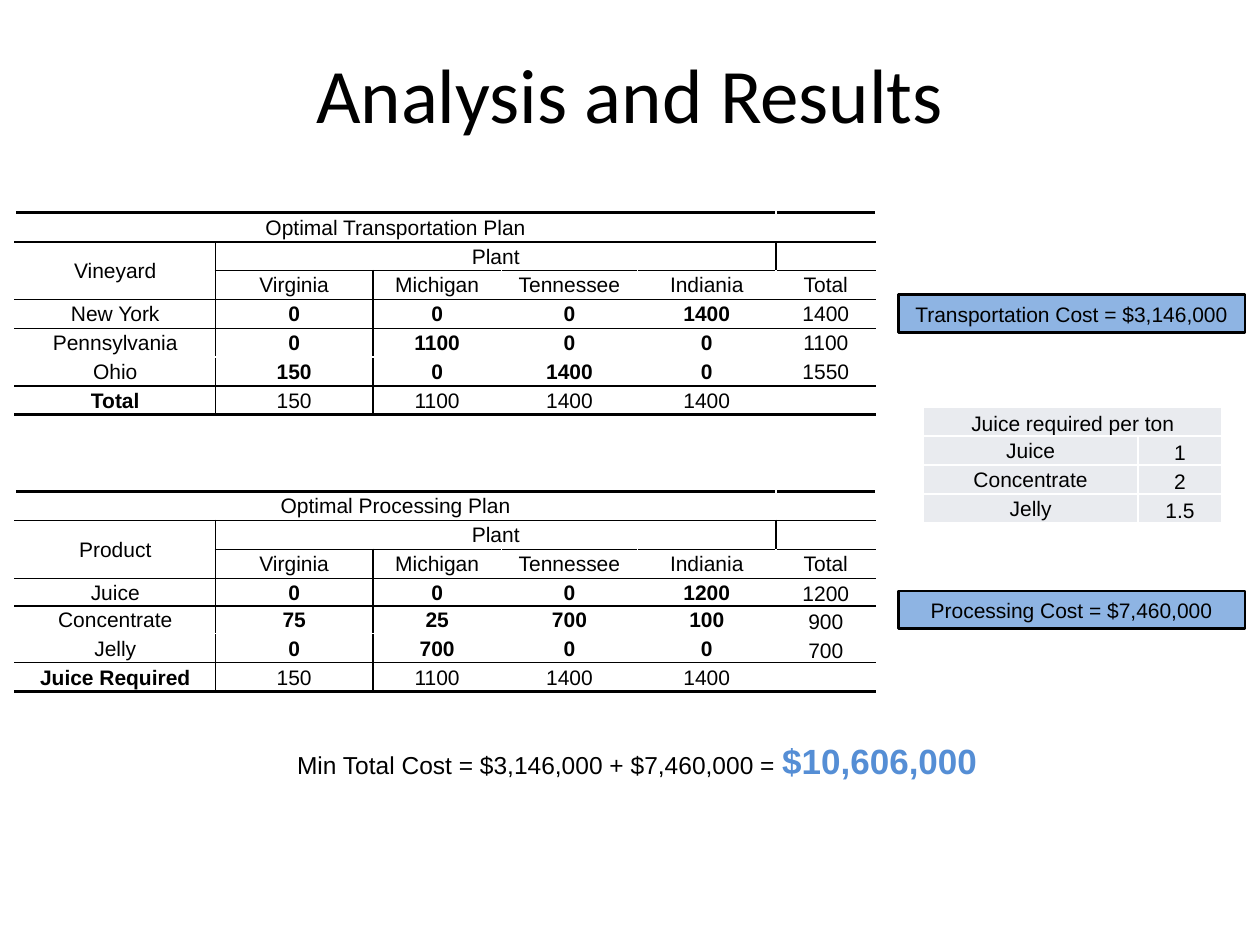
"""Build the Analysis and Results slide with two plan tables and their costs."""
from lxml.etree import SubElement
from pptx import Presentation
from pptx.dml.color import RGBColor
from pptx.enum.shapes import MSO_SHAPE
from pptx.enum.text import MSO_ANCHOR, PP_ALIGN
from pptx.oxml.ns import qn
from pptx.util import Inches, Pt

deck = Presentation()
deck.slide_width, deck.slide_height = Inches(10), Inches(7.5)
unit = deck.slide_width / 100
slide = deck.slides.add_slide(deck.slide_layouts[6])


def color(hex_value):
    return RGBColor.from_string(hex_value)


def write(frame, pieces):
    line = frame.paragraphs[0]
    line.alignment = PP_ALIGN.CENTER
    for words, font_name, size, bold, ink in pieces:
        run = line.add_run()
        run.text = words
        run.font.name, run.font.size, run.font.bold = font_name, Pt(size), bold
        run.font.color.rgb = color(ink)


title = slide.shapes.add_textbox(*(int(n * unit) for n in (5, 1.1, 90, 12.5))).text_frame
title.word_wrap = True
title.vertical_anchor = MSO_ANCHOR.MIDDLE
write(title, [("Analysis and Results", "Calibri", 44, False, "000000")])

plant_heads = ["", "Virginia", "Michigan", "Tennessee", "Indiania", "Total"]
transport_rows = [
    ["Optimal Transportation Plan"],
    ["Vineyard", "Plant"],
    plant_heads,
    ["New York", "0", "0", "0", "1400", "1400"],
    ["Pennsylvania", "0", "1100", "0", "0", "1100"],
    ["Ohio", "150", "0", "1400", "0", "1550"],
    ["Total", "150", "1100", "1400", "1400"],
]
processing_rows = [
    ["Optimal Processing Plan"],
    ["Product", "Plant"],
    plant_heads,
    ["Juice", "0", "0", "0", "1200", "1200"],
    ["Concentrate", "75", "25", "700", "100", "900"],
    ["Jelly", "0", "700", "0", "0", "700"],
    ["Juice Required", "150", "1100", "1400", "1400"],
]
juice_rows = [["Juice required per ton"], ["Juice", "1"], ["Concentrate", "2"], ["Jelly", "1.5"]]

plan_columns = [15.9, 12.5, 10.2, 10.8, 11, 7.9]
plan_merges = [(0, 0, 0, 4), (1, 0, 2, 0), (1, 1, 1, 4)]
rules_below = {-1: 2, 0: 1, 1: 1, 2: 1, 3: 1, 5: 1, 6: 2}
tables = [
    (1.2, 16.9, plan_columns, [2.29] * 7, transport_rows, plan_merges, "FFFFFF", []),
    (1.2, 39, plan_columns, [2.3] * 3 + [2.2] * 2 + [2.3] * 2, processing_rows, plan_merges,
     "FFFFFF", [(3, 5), (4, 5), (5, 5)]),
    (73.3, 32.3, [17, 6.7], [2.3] * 4, juice_rows, [(0, 0, 0, 1)], "E9EBEF",
     [(0, 0), (1, 1), (2, 1), (3, 1)]),
]

for left, top, columns, heights, rows, merges, fill, low_cells in tables:
    is_plan = len(columns) == len(plan_columns)
    table = slide.shapes.add_table(
        len(rows), len(columns),
        *(int(n * unit) for n in (left, top, sum(columns), sum(heights)))).table
    table.first_row = table.horz_banding = False
    for column, width in zip(table.columns, columns):
        column.width = int(width * unit)
    for row, height in zip(table.rows, heights):
        row.height = int(height * unit)
    for r1, c1, r2, c2 in merges:
        table.cell(r1, c1).merge(table.cell(r2, c2))

    for r, values in enumerate(rows):
        for c in range(len(columns)):
            cell = table.cell(r, c)
            cell.margin_left = cell.margin_right = cell.margin_top = Inches(0.01)
            cell.margin_bottom = 0
            cell.vertical_anchor = MSO_ANCHOR.BOTTOM if (r, c) in low_cells else MSO_ANCHOR.MIDDLE
            words = dict(enumerate(values)).get(c, "")
            if words:
                number = is_plan and 3 <= r <= 5 and 1 <= c <= 4
                total_label = is_plan and r == 6 and c == 0
                write(cell.text_frame, [(words, "Arial", 12, number or total_label, "000000")])
            else:
                SubElement(cell.text_frame.paragraphs[0]._p, qn("a:endParaRPr"), sz="1200")

            if is_plan:
                upright = [(), (0, 4)][r] if r < 2 else (0, 1)
                borders = {
                    "a:lnL": c - 1 in upright,
                    "a:lnR": c in upright or (r, c) == (1, 1),
                    "a:lnT": 0 if (r, c) == (2, 0) else rules_below.get(r - 1, 0),
                    "a:lnB": rules_below.get(r, 0),
                }
                for side, points in borders.items():
                    if points:
                        border = SubElement(cell._tc.get_or_add_tcPr(), qn(side), w=str(Pt(points)))
                        ink = SubElement(border, qn("a:solidFill"))
                        SubElement(ink, qn("a:srgbClr"), val="000000")
            cell.fill.solid()
            cell.fill.fore_color.rgb = color(fill)

for top, words in [(23.4, "Transportation Cost = $3,146,000"),
                   (46.9, "Processing Cost = $7,460,000")]:
    cost = slide.shapes.add_shape(
        MSO_SHAPE.RECTANGLE, *(int(n * unit) for n in (71.3, top, 27.5, 3)))
    cost.shadow.inherit = False
    cost.fill.solid()
    cost.fill.fore_color.rgb = color("8EB4E3")
    cost.line.color.rgb = color("000000")
    cost.line.width = Pt(1.5)
    cost.text_frame.word_wrap = True
    write(cost.text_frame, [(words, "Arial", 12, False, "000000")])

total_cost = slide.shapes.add_textbox(*(int(n * unit) for n in (5, 58.2, 91.9, 4.4))).text_frame
total_cost.word_wrap = True
write(total_cost, [
    ("Min Total Cost = $3,146,000 + $7,460,000 = ", "Arial", 14, False, "000000"),
    ("$10,606,000 ", "Arial", 20, True, "558ED5"),
])

deck.save("out.pptx")
